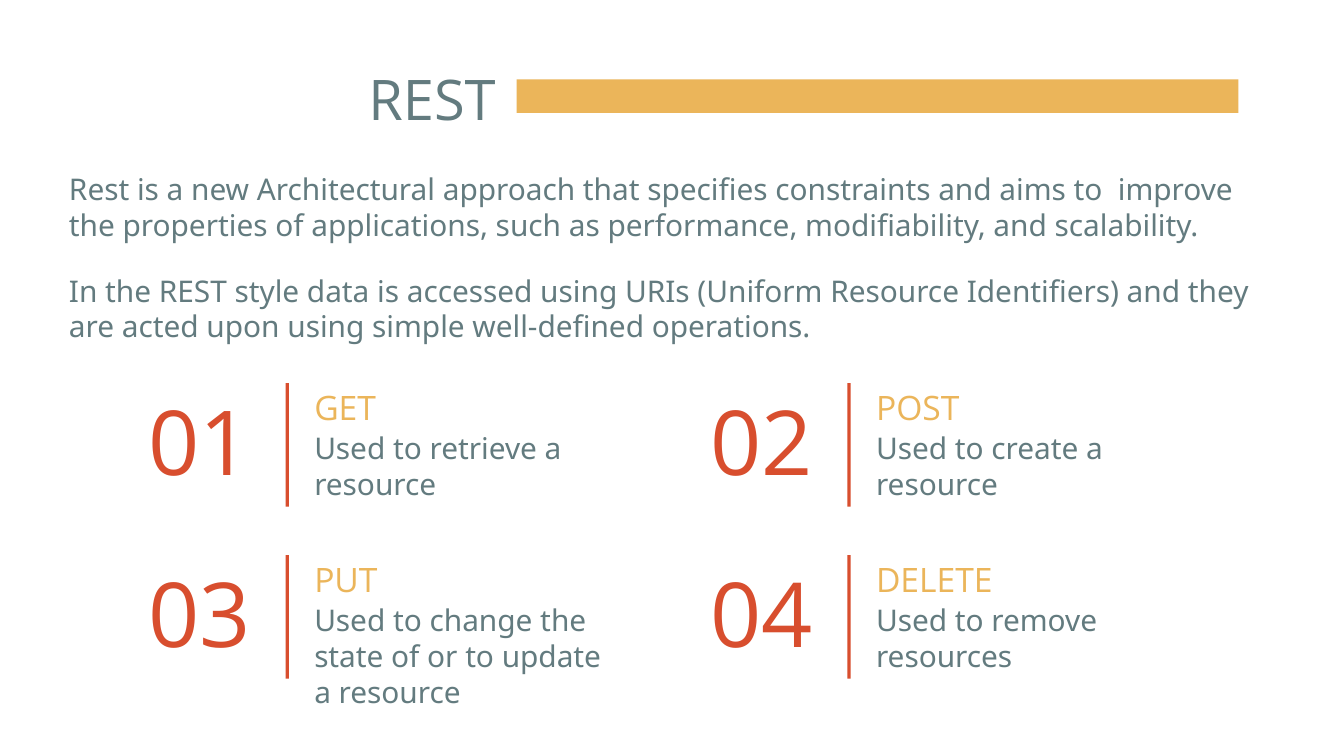
from pptx import Presentation
from pptx import util as u
from pptx.dml.color import RGBColor
from pptx.enum import shapes, text

PX = 4572  # EMU per px, 200 px to the inch
HUE = {"gold": "EBB55A", "slate": "637B7F", "red": "D84E2E"}
HEAD, BODY = "Open Sans", "Noto Sans"

INTRO = [
    "Rest is a new Architectural approach that specifies constraints and aims to  improve "
    "the properties of applications, such as performance, modifiability, and scalability.",
    "In the REST style data is accessed using URIs (Uniform Resource Identifiers) and they "
    "are acted upon using simple well-defined operations.",
]
VERBS = [
    ("GET", "Used to retrieve a resource"),
    ("POST", "Used to create a resource"),
    ("PUT", "Used to change the state of or to update a resource"),
    ("DELETE", "Used to remove resources"),
]


def color(key):
    return RGBColor.from_string(HUE[key])


def scale(box):
    return [n * PX for n in box]


def write(shape, lines, size, key, font=HEAD, after=0,
          align=text.PP_ALIGN.LEFT, anchor=text.MSO_ANCHOR.TOP):
    frame = shape.text_frame
    frame.text = "\n".join(lines)
    frame.word_wrap = True
    frame.auto_size = text.MSO_AUTO_SIZE.NONE
    frame.vertical_anchor = anchor
    frame.margin_left = frame.margin_right = 20 * PX
    frame.margin_top = frame.margin_bottom = 20 * PX
    for para in frame.paragraphs:
        para.alignment = align
        para.line_spacing = 1.0
        para.space_before, para.space_after = u.Pt(0), u.Pt(after)
        para.font.name, para.font.size = font, u.Pt(size)
        para.font.color.rgb = color(key)


def label(slide, box, lines, size, key, **style):
    write(slide.shapes.add_textbox(*scale(box)), lines, size, key, **style)


def bar(slide, box, key):
    shape = slide.shapes.add_shape(shapes.MSO_SHAPE.RECTANGLE, *scale(box))
    shape.shadow.inherit = False
    shape.fill.solid()
    shape.fill.fore_color.rgb = color(key)
    shape.line.fill.background()


def verb(slide, x, y, num, name, use):
    # Number, divider, then name over its use
    label(slide, (x, y + 14, 202, 184), [f"{num:02}"], 48, "red",
          align=text.PP_ALIGN.RIGHT, anchor=text.MSO_ANCHOR.BOTTOM)
    bar(slide, (x + 234, y + 14, 5, 184), "red")
    label(slide, (x + 257, y, 552, 74), [name], 18, "gold", after=16)
    label(slide, (x + 257, y + 64, 500, 134), [use], 16, "slate",
          font=BODY, after=16)


def main():
    deck = Presentation()
    deck.slide_width, deck.slide_height = scale((2000, 1125))
    slide = deck.slides.add_slide(deck.slide_layouts[5])

    # Heading
    bar(slide, (769, 118, 1074, 50), "gold")
    title = slide.shapes.title
    title.left, title.top, title.width, title.height = scale((528, 76, 654, 126))
    write(title, ["REST"], 30, "slate")

    # Introduction
    label(slide, (83, 234, 1836, 290), INTRO, 16, "slate", font=BODY, after=16)

    # Two by two grid of operations
    for i, (name, use) in enumerate(VERBS):
        row, col = divmod(i, 2)
        verb(slide, 191 + 836 * col, 556 + 256 * row, i + 1, name, use)

    deck.save("out.pptx")


if __name__ == "__main__":
    main()
